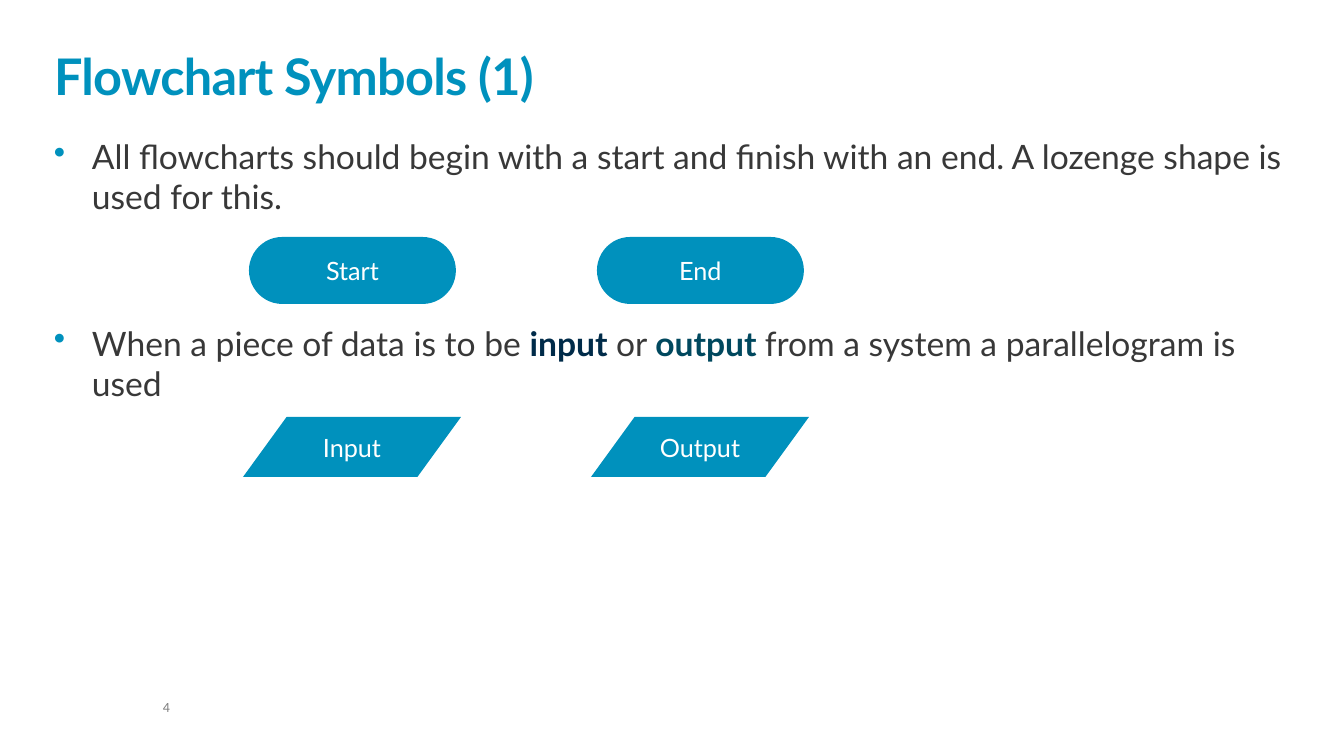
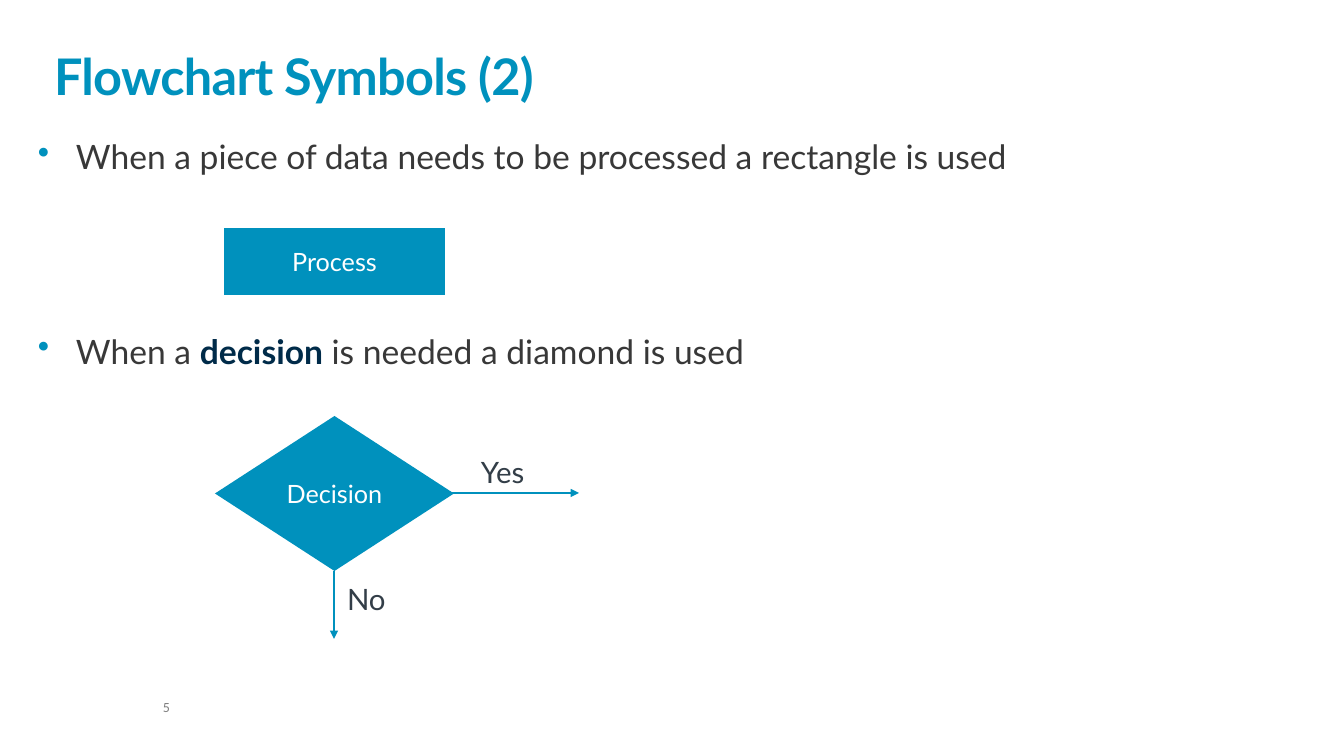
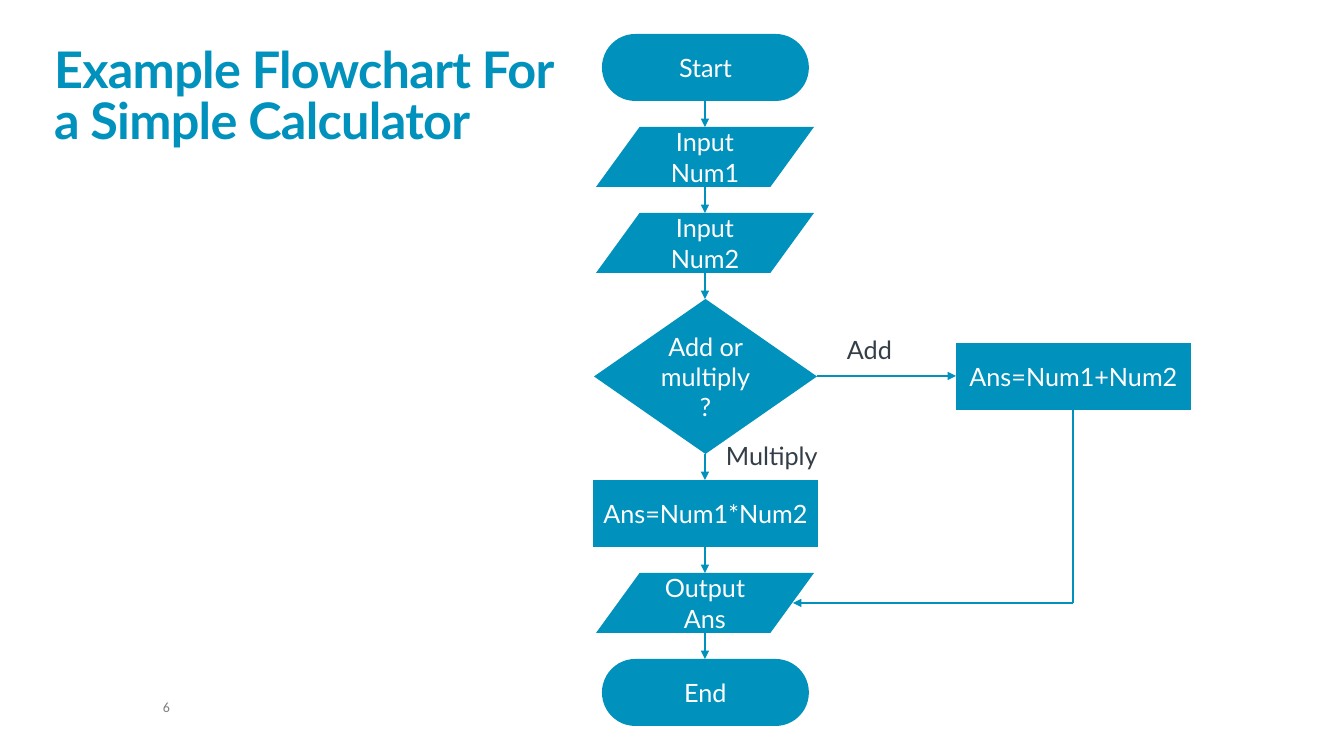
from dataclasses import dataclass, field
from itertools import pairwise
from typing import Any, Optional

from lxml.etree import SubElement
from pptx import Presentation
from pptx.dml.color import RGBColor
from pptx.enum.shapes import MSO_CONNECTOR, MSO_SHAPE
from pptx.enum.text import MSO_ANCHOR, MSO_AUTO_SIZE, PP_ALIGN
from pptx.oxml.ns import qn
from pptx.slide import Slide
from pptx.text.text import TextFrame
from pptx.util import Emu, Pt

EMU_PER_PX = 914400 / 100.8
TERMINATOR = MSO_SHAPE.FLOWCHART_TERMINATOR
DATA = MSO_SHAPE.FLOWCHART_DATA
PROCESS = MSO_SHAPE.FLOWCHART_PROCESS
DECISION = MSO_SHAPE.FLOWCHART_DECISION
SYMBOL_SIZES = {
    TERMINATOR: (207, 67),
    DATA: (218, 60),
    PROCESS: (221, 67),
    DECISION: (239, 155),
}
Point = tuple[int, int]


@dataclass(frozen=True)
class Theme:
    accent: str = "0091BD"
    body: str = "383838"
    label: str = "333E48"
    navy: str = "002B49"
    teal: str = "00485E"
    white: str = "FFFFFF"
    grey: str = "7F7F7F"
    font: str = "Lato"
    number_font: str = "Calibri"
    title_size: int = 36
    body_size: int = 24
    branch_size: int = 21
    symbol_size: int = 18
    number_size: int = 10
    line_width: int = 1


THEME = Theme()
PLAIN_FRAME = dict(margin_left=0, margin_right=0, margin_top=0, margin_bottom=0,
                   auto_size=MSO_AUTO_SIZE.NONE)
LABEL_PARAGRAPH = dict(line_spacing=0.9, space_after=Pt(6))


@dataclass(frozen=True)
class Area:
    left: int
    top: int
    width: int
    height: int

    def emu(self) -> tuple[Emu, Emu, Emu, Emu]:
        return px(self.left), px(self.top), px(self.width), px(self.height)


@dataclass(frozen=True)
class Span:
    text: str
    color: str = THEME.body
    bold: bool = False


@dataclass(frozen=True)
class Bullet:
    spans: list[Span]
    space_before: float = 0


@dataclass(frozen=True)
class Symbol:
    kind: MSO_SHAPE
    text: str
    center: int
    top: int
    custom_width: Optional[int] = None

    @property
    def width(self) -> int:
        return self.custom_width or SYMBOL_SIZES[self.kind][0]

    @property
    def height(self) -> int:
        return SYMBOL_SIZES[self.kind][1]

    @property
    def left(self) -> int:
        return self.center - self.width // 2

    @property
    def right(self) -> int:
        return self.left + self.width

    @property
    def middle(self) -> int:
        return self.top + self.height // 2

    @property
    def bottom(self) -> int:
        return self.top + self.height


@dataclass(frozen=True)
class Arrow:
    start: Point
    end: Point
    head: bool = True


@dataclass(frozen=True)
class Label:
    text: str
    area: Area
    size: int


@dataclass(frozen=True)
class Page:
    number: int
    title: str
    symbols: list[Symbol]
    title_area: Area = Area(54, 32, 1233, 74)
    bullets: list[Bullet] = field(default_factory=list)
    bullets_left: int = 54
    arrows: list[Arrow] = field(default_factory=list)
    labels: list[Label] = field(default_factory=list)


def px(length: int) -> Emu:
    return Emu(round(length * EMU_PER_PX))


def apply(target: Any, values: dict[str, Any]) -> None:
    for name, value in values.items():
        setattr(target, name, value)


def add_run(paragraph: Any, span: Span, size: int, font: str = THEME.font) -> Any:
    run = paragraph.add_run()
    run.text = span.text
    apply(run.font, dict(name=font, size=Pt(size), bold=span.bold))
    run.font.color.rgb = RGBColor.from_string(span.color)
    return run


def add_text_box(slide: Slide, area: Area, wrap: bool = True) -> TextFrame:
    frame = slide.shapes.add_textbox(*area.emu()).text_frame
    apply(frame, dict(PLAIN_FRAME, word_wrap=wrap))
    return frame


def draw_title(slide: Slide, page: Page) -> None:
    title = slide.shapes.title
    apply(title, dict(zip(("left", "top", "width", "height"), page.title_area.emu())))
    apply(title.text_frame, dict(PLAIN_FRAME, word_wrap=True, vertical_anchor=MSO_ANCHOR.BOTTOM))
    paragraph = title.text_frame.paragraphs[0]
    apply(paragraph, dict(alignment=PP_ALIGN.LEFT, line_spacing=0.85))
    run = add_run(paragraph, Span(page.title, THEME.accent, True), THEME.title_size)
    run._r.get_or_add_rPr().set("spc", "-50")


def draw_number(slide: Slide, number: int) -> None:
    paragraph = add_text_box(slide, Area(163, 700, 120, 15)).paragraphs[0]
    apply(paragraph, LABEL_PARAGRAPH)
    add_run(paragraph, Span(str(number), THEME.grey), THEME.number_size, THEME.number_font)


def draw_bullets(slide: Slide, bullets: list[Bullet], left: int) -> None:
    frame = add_text_box(slide, Area(left, 136, 1233, 507))
    for index, bullet in enumerate(bullets):
        paragraph = frame.add_paragraph() if index else frame.paragraphs[0]
        properties = paragraph._p.get_or_add_pPr()
        properties.set("marL", str(px(38)))
        properties.set("indent", str(px(-38)))
        color = SubElement(properties, qn("a:buClr"))
        SubElement(color, qn("a:srgbClr"), val=THEME.accent)
        SubElement(properties, qn("a:buChar"), char="•")
        paragraph.space_before = Pt(bullet.space_before)
        for span in bullet.spans:
            add_run(paragraph, span, THEME.body_size)


def draw_symbol(slide: Slide, symbol: Symbol) -> None:
    area = Area(symbol.left, symbol.top, symbol.width, symbol.height)
    shape = slide.shapes.add_shape(symbol.kind, *area.emu())
    shape.shadow.inherit = False
    shape.fill.solid()
    shape.fill.fore_color.rgb = RGBColor.from_string(THEME.accent)
    shape.line.fill.background()
    apply(shape.text_frame, dict(word_wrap=True, vertical_anchor=MSO_ANCHOR.MIDDLE))
    paragraph = shape.text_frame.paragraphs[0]
    paragraph.alignment = PP_ALIGN.CENTER
    add_run(paragraph, Span(symbol.text, THEME.white), THEME.symbol_size)


def draw_arrow(slide: Slide, arrow: Arrow) -> None:
    ends = [px(value) for value in (*arrow.start, *arrow.end)]
    connector = slide.shapes.add_connector(MSO_CONNECTOR.STRAIGHT, *ends)
    connector.line.width = Pt(THEME.line_width)
    connector.line.color.rgb = RGBColor.from_string(THEME.accent)
    if arrow.head:
        SubElement(connector.line._get_or_add_ln(), qn("a:tailEnd"), type="triangle")
    SubElement(connector._element.spPr, qn("a:effectLst"))


def draw_label(slide: Slide, label: Label) -> None:
    paragraph = add_text_box(slide, label.area, wrap=False).paragraphs[0]
    apply(paragraph, LABEL_PARAGRAPH)
    add_run(paragraph, Span(label.text, THEME.label), label.size)


def draw_page(deck: Any, page: Page) -> None:
    slide = deck.slides.add_slide(deck.slide_layouts.get_by_name("Title Only"))
    draw_number(slide, page.number)
    draw_title(slide, page)
    if page.bullets:
        draw_bullets(slide, page.bullets, page.bullets_left)
    for symbol in page.symbols:
        draw_symbol(slide, symbol)
    for arrow in page.arrows:
        draw_arrow(slide, arrow)
    for label in page.labels:
        draw_label(slide, label)


def start_and_data_page() -> Page:
    rows = [(TERMINATOR, 237, ("Start", "End")), (DATA, 417, ("Input", "Output"))]
    return Page(
        number=4,
        title="Flowchart Symbols (1)",
        bullets=[
            Bullet([Span("All flowcharts should begin with a start and finish with an end. "
                         "A lozenge shape is used for this.")]),
            Bullet([
                Span("When a piece of data is to be "),
                Span("input", THEME.navy, True),
                Span(" or "),
                Span("output ", THEME.teal, True),
                Span("from a system a parallelogram is used"),
            ], space_before=75.6),
        ],
        symbols=[Symbol(kind, text, 352 + 348 * column, top)
                 for kind, top, texts in rows for column, text in enumerate(texts)],
    )


def process_and_decision_page() -> Page:
    process = Symbol(PROCESS, "Process", 334, 228)
    decision = Symbol(DECISION, "Decision", 334, 416)
    return Page(
        number=5,
        title="Flowchart Symbols (2)",
        bullets_left=38,
        bullets=[
            Bullet([Span("When a piece of data needs to be processed a rectangle is used")]),
            Bullet([
                Span("When a "),
                Span("decision", THEME.navy, True),
                Span(" is needed a diamond is used"),
            ], space_before=110.4),
        ],
        symbols=[process, decision],
        arrows=[
            Arrow((decision.right - 3, decision.middle), (579, decision.middle)),
            Arrow((decision.center, decision.bottom), (decision.center, 639)),
        ],
        labels=[
            Label("Yes", Area(481, 458, 47, 32), THEME.branch_size),
            Label("No", Area(347, 585, 39, 32), THEME.branch_size),
        ],
    )


def stack_symbols(center: int, top: int, gap: int,
                  steps: list[tuple[MSO_SHAPE, str, Optional[int]]]) -> list[Symbol]:
    symbols = []
    for kind, text, width in steps:
        symbols.append(Symbol(kind, text, center, top, width))
        top = symbols[-1].bottom + gap
    return symbols


def calculator_page() -> Page:
    column = stack_symbols(705, 34, 26, [
        (TERMINATOR, "Start", None),
        (DATA, "Input Num1", None),
        (DATA, "Input Num2", None),
        (DECISION, "Add or multiply?", 223),
        (PROCESS, "Ans=Num1*Num2", 225),
        (DATA, "Output Ans", None),
        (TERMINATOR, "End", None),
    ])
    decision, output = column[3], column[5]
    addition = Symbol(PROCESS, "Ans=Num1+Num2", 1073, decision.middle - 33, 235)
    corner = (addition.center, output.middle)
    output_edge = output.right - output.width // 10
    return Page(
        number=6,
        title="Example Flowchart For a Simple Calculator",
        title_area=Area(54, 32, 502, 118),
        symbols=[*column, addition],
        arrows=[
            *(Arrow((upper.center, upper.bottom), (lower.center, lower.top))
              for upper, lower in pairwise(column)),
            Arrow((decision.right, decision.middle), (addition.left, decision.middle)),
            Arrow((addition.center, addition.bottom), corner, head=False),
            Arrow(corner, (output_edge, output.middle)),
        ],
        labels=[
            Label("Add", Area(847, 338, 45, 27), THEME.symbol_size),
            Label("Multiply", Area(726, 444, 94, 27), THEME.symbol_size),
        ],
    )


def main() -> None:
    deck = Presentation()
    apply(deck, dict(slide_width=px(1344), slide_height=px(756)))
    for page in (start_and_data_page(), process_and_decision_page(), calculator_page()):
        draw_page(deck, page)
    deck.save("out.pptx")


if __name__ == "__main__":
    main()
